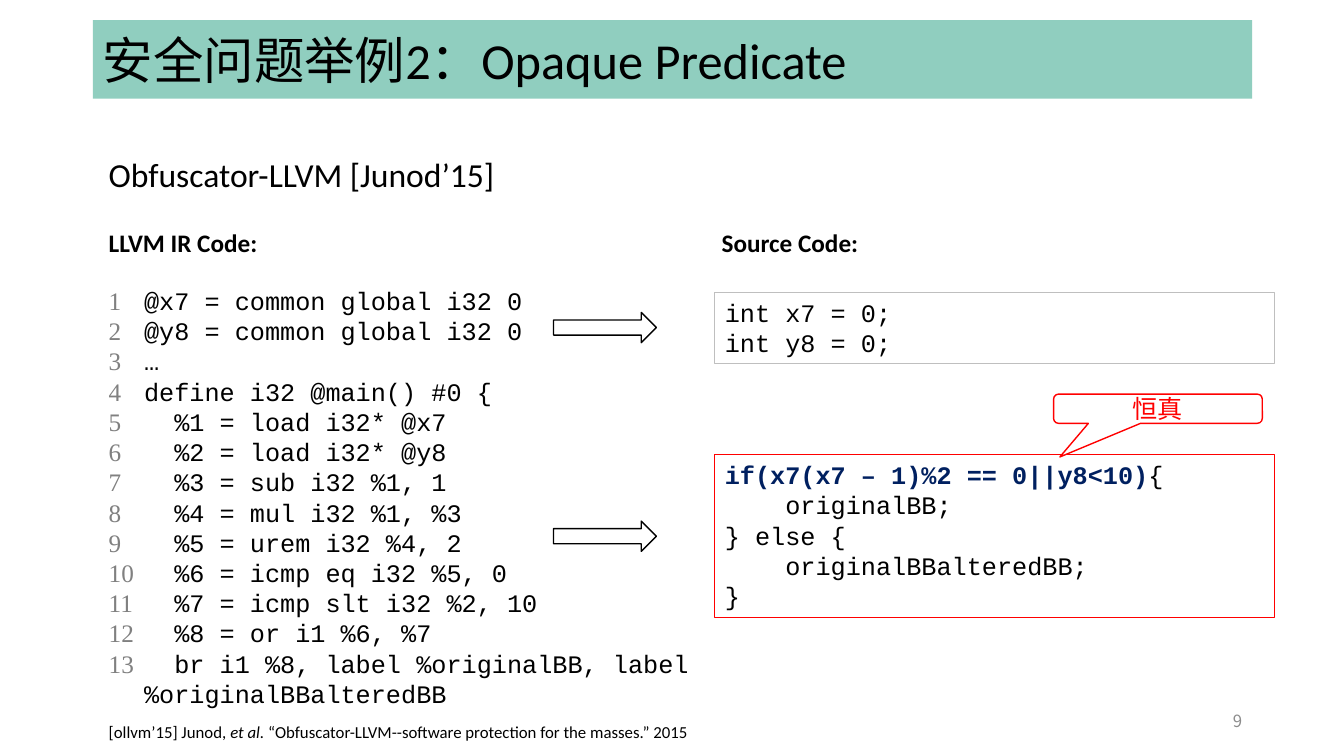
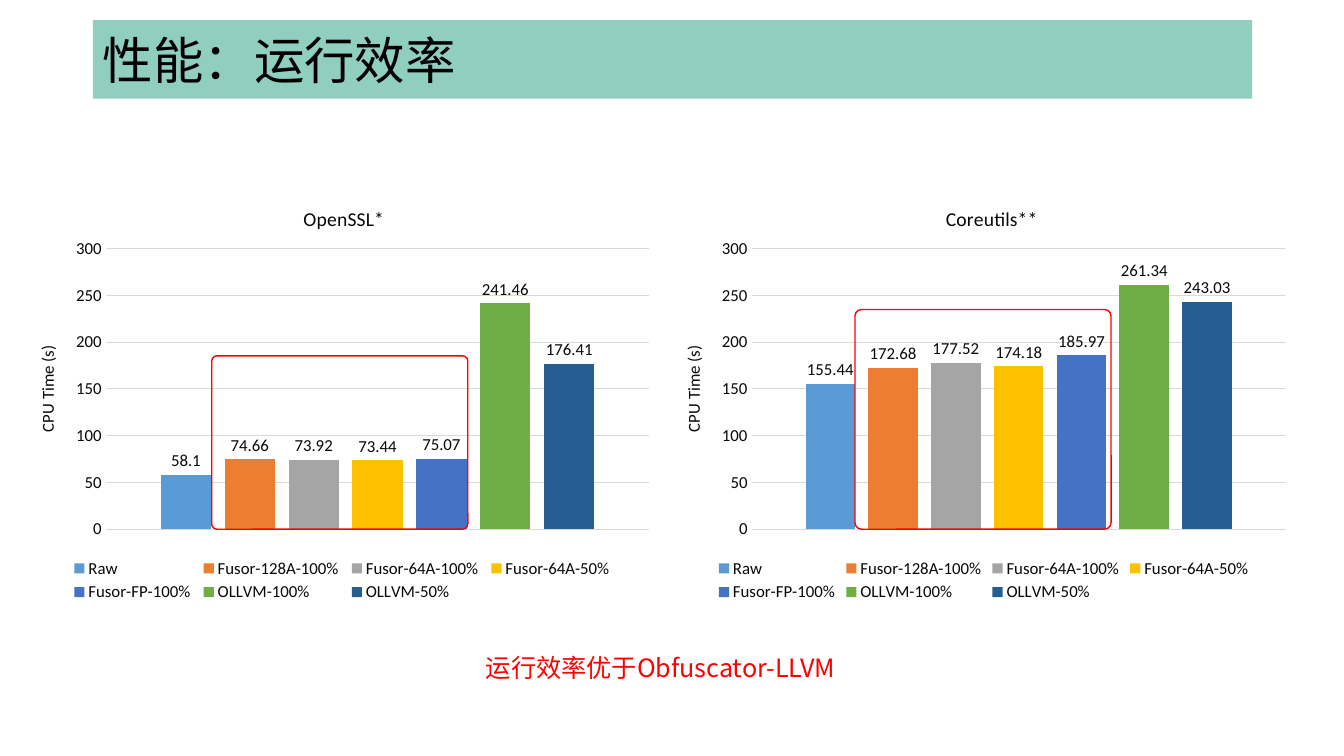
import dataclasses

import lxml.etree
import pptx
import pptx.chart.data
import pptx.dml.color
import pptx.enum.chart
import pptx.enum.shapes
import pptx.enum.text
import pptx.oxml.ns
import pptx.util

Inches = pptx.util.Inches
Pt = pptx.util.Pt
SHAPE = pptx.enum.shapes.MSO_SHAPE
ANCHOR = pptx.enum.text.MSO_ANCHOR
ALIGN = pptx.enum.text.PP_ALIGN
qn = pptx.oxml.ns.qn


@dataclasses.dataclass(frozen=True)
class Theme:
    band: str = "90CEBF"
    white: str = "FFFFFF"
    black: str = "000000"
    red: str = "FF0000"
    navy: str = "002060"
    grey: str = "808080"
    page_grey: str = "8C8C8C"
    box_grey: str = "BFBFBF"
    grid: str = "D9D9D9"
    chart_text: str = "07080B"
    bars: tuple = ("5B9BD5", "ED7D31", "A5A5A5", "FFC000", "4472C4", "70AD47", "255E91")
    sans: str = "Calibri"
    mono: str = "Courier New"
    serif: str = "Times New Roman"
    cjk: str = "Noto Sans CJK SC"
    page_font: str = "Noto Sans CJK KR"
    title_size: int = 36
    lead_size: int = 24
    text_size: int = 18
    chart_title_size: int = 14
    small_size: int = 12
    code_pitch: float = 21.6


THEME = Theme()


def font_style(name, size, color=THEME.black, **extra):
    return {"name": name, "size": Pt(size), "color": color, "bold": False, "italic": False, **extra}


TITLE = font_style(THEME.sans, THEME.title_size)
LEAD = font_style(THEME.sans, THEME.lead_size)
HEADING = font_style(THEME.sans, THEME.text_size, bold=True)
CODE = font_style(THEME.mono, THEME.text_size)
LINE_NUMBER = font_style(THEME.serif, THEME.text_size, THEME.grey)
CITATION = font_style(THEME.sans, THEME.small_size)
PAGE = font_style(THEME.page_font, THEME.small_size, THEME.page_grey)
RED_NOTE = font_style(THEME.cjk, THEME.text_size, THEME.red)
CHART_TITLE = font_style(THEME.sans, THEME.chart_title_size, THEME.chart_text)
CHART_TEXT = font_style(THEME.sans, THEME.small_size, THEME.chart_text)

IR_CODE = """@x7 = common global i32 0
@y8 = common global i32 0
…
define i32 @main() #0 {
  %1 = load i32* @x7
  %2 = load i32* @y8
  %3 = sub i32 %1, 1
  %4 = mul i32 %1, %3
  %5 = urem i32 %4, 2
  %6 = icmp eq i32 %5, 0
  %7 = icmp slt i32 %2, 10
  %8 = or i1 %6, %7
  br i1 %8, label %originalBB, label %originalBBalteredBB""".split("\n")

GUARD_CODE = [
    [("if(x7(x7 – 1)%2 == 0||y8<10)", {"bold": True, "color": THEME.navy}), ("{", {})],
    "    originalBB;",
    "} else {",
    "    originalBBalteredBB;",
    "}",
]

VARIANTS = ("Raw", "Fusor-128A-100%", "Fusor-64A-100%", "Fusor-64A-50%",
            "Fusor-FP-100%", "OLLVM-100%", "OLLVM-50%")

# Chart part: (position among its siblings, fractions of the chart area)
CHART_LAYOUT = {
    "c:chart/c:title": (1, {"x": 0.44, "y": 0.05}),
    "c:chart/c:plotArea": (0, {"x": 0.14, "y": 0.16, "w": 0.84, "h": 0.66}),
    "c:chart/c:legend": (1, {"x": 0.08, "y": 0.88, "w": 0.85, "h": 0.12}),
}


def rgb(color):
    return pptx.dml.color.RGBColor.from_string(color)


def inches(box):
    return [Inches(value) for value in box]


def set_all(target, values):
    for name, value in values.items():
        setattr(target, name, value)


def format_font(font, style):
    set_all(font, {name: value for name, value in style.items() if name != "color"})
    font.color.rgb = rgb(style["color"])


def write(shape, paragraphs, style, align=ALIGN.LEFT, anchor=ANCHOR.TOP, wrap=True, pitch=None):
    """Fill a shape; a paragraph is a string or a list of (text, style changes)."""
    frame = shape.text_frame
    set_all(frame, {"word_wrap": wrap, "vertical_anchor": anchor,
                    "auto_size": pptx.enum.text.MSO_AUTO_SIZE.NONE})
    for index, content in enumerate(paragraphs):
        paragraph = frame.add_paragraph() if index else frame.paragraphs[0]
        set_all(paragraph, {"alignment": align, "space_before": Pt(0)})
        if pitch:
            paragraph.line_spacing = Pt(pitch)
        for text, changes in [(content, {})] if isinstance(content, str) else content:
            run = paragraph.add_run()
            run.text = text
            format_font(run.font, {**style, **changes})


def set_east_asian_font(shape):
    for properties in shape.element.iter(qn("a:rPr")):
        lxml.etree.SubElement(properties, qn("a:ea")).set("typeface", THEME.cjk)


def add_text(slide, box, paragraphs, style, **options):
    label = slide.shapes.add_textbox(*inches(box))
    write(label, paragraphs, style, **options)
    return label


def add_outline(slide, kind, box, line, width=1.0, fill=None):
    outline = slide.shapes.add_shape(kind, *inches(box))
    outline.shadow.inherit = False
    if fill:
        outline.fill.solid()
        outline.fill.fore_color.rgb = rgb(fill)
    else:
        outline.fill.background()
    outline.line.color.rgb = rgb(line)
    outline.line.width = Pt(width)
    return outline


def add_titled_slide(deck, heading):
    slide = deck.slides.add_slide(deck.slide_layouts[5])
    title = slide.shapes.title
    set_all(title, dict(zip(("left", "top", "width", "height"), inches((0.92, 0.2, 11.5, 0.78)))))
    title.fill.solid()
    title.fill.fore_color.rgb = rgb(THEME.band)
    write(title, [heading], TITLE, anchor=ANCHOR.MIDDLE)
    set_east_asian_font(title)
    return slide


def add_numbered_code(slide, box, lines):
    left, top, width, height = box
    gutter = 0.35
    numbers = [str(number) for number in range(1, len(lines) + 1)]
    add_text(slide, (left, top, 0.51, height), numbers, LINE_NUMBER, pitch=THEME.code_pitch)
    add_text(slide, (left + gutter, top, width - gutter, height), lines, CODE,
             pitch=THEME.code_pitch)


def add_code_box(slide, box, lines, line):
    code_box = add_outline(slide, SHAPE.RECTANGLE, box, line, 0.75)
    write(code_box, lines, CODE, pitch=THEME.code_pitch)


def add_callout(slide, box, text):
    callout = add_outline(slide, SHAPE.ROUNDED_RECTANGULAR_CALLOUT, box, THEME.red,
                          fill=THEME.white)
    for index, value in enumerate((-0.47, 1.65, 0.17)):
        callout.adjustments[index] = value
    set_all(callout.text_frame, {"margin_top": 0, "margin_bottom": 0})
    write(callout, [text], RED_NOTE, align=ALIGN.CENTER, anchor=ANCHOR.MIDDLE)
    set_east_asian_font(callout)


def build_predicate_slide(deck):
    slide = add_titled_slide(deck, "安全问题举例2：Opaque Predicate")
    left, right = 0.98, 7.09
    add_text(slide, (left, 1.48, 4.4, 0.5), ["Obfuscator-LLVM [Junod’15]"], LEAD, wrap=False)
    for column, heading in ((left, "LLVM IR Code:"), (7.06, "Source Code:")):
        add_text(slide, (column, 2.21, 2.44, 0.4), [heading], HEADING)
    add_numbered_code(slide, (left, 2.78, 9.03, 4.04), IR_CODE)
    for top in (3.1, 5.17):
        add_outline(slide, SHAPE.RIGHT_ARROW, (5.49, top, 1.02, 0.3), THEME.black,
                    fill=THEME.white)
    add_code_box(slide, (right, 2.9, 5.55, 0.71), ["int x7 = 0;", "int y8 = 0;"], THEME.box_grey)
    add_code_box(slide, (right, 4.51, 5.55, 1.62), GUARD_CODE, THEME.red)
    add_callout(slide, (10.45, 3.91, 2.07, 0.29), "恒真")
    citation = [("[ollvm’15] Junod, ", {}), ("et al. ", {"italic": True}),
                ("“Obfuscator-LLVM--software protection for the masses.” 2015", {})]
    add_text(slide, (left, 7.11, 7.13, 0.3), [citation], CITATION)
    add_text(slide, (9.42, 6.95, 3, 0.4), ["9"], PAGE, align=ALIGN.RIGHT, anchor=ANCHOR.MIDDLE)


def place_chart_parts(chart):
    for query, (position, fractions) in CHART_LAYOUT.items():
        part = chart.element.xpath(query)[0]
        for automatic in part.findall(qn("c:layout")):
            part.remove(automatic)
        layout = lxml.etree.Element(qn("c:layout"))
        manual = lxml.etree.SubElement(layout, qn("c:manualLayout"))
        settings = {"xMode": "edge", "yMode": "edge", **fractions}
        if query.endswith("plotArea"):
            settings = {"layoutTarget": "inner", **settings}
        for name, value in settings.items():
            lxml.etree.SubElement(manual, qn("c:" + name)).set("val", str(value))
        part.insert(position, layout)


def format_value_axis(axis):
    set_all(axis, {"minimum_scale": 0, "maximum_scale": 300, "major_unit": 50,
                   "major_tick_mark": pptx.enum.chart.XL_TICK_MARK.NONE,
                   "has_major_gridlines": True})
    axis.major_gridlines.format.line.color.rgb = rgb(THEME.grid)
    axis.major_gridlines.format.line.width = Pt(0.75)
    axis.format.line.fill.background()
    format_font(axis.tick_labels.font, CHART_TEXT)
    axis.axis_title.text_frame.text = "CPU Time (s)"
    format_font(axis.axis_title.text_frame.paragraphs[0].runs[0].font, CHART_TEXT)
    for body in axis.axis_title.element.iter(qn("a:bodyPr")):
        body.set("rot", "-5400000")
        body.set("vert", "horz")


def add_time_chart(slide, box, heading, times):
    timings = pptx.chart.data.CategoryChartData()
    timings.categories = ["1"]
    for variant, seconds in zip(VARIANTS, times):
        timings.add_series(variant, [seconds])
    chart = slide.shapes.add_chart(pptx.enum.chart.XL_CHART_TYPE.COLUMN_CLUSTERED,
                                   *inches(box), timings).chart
    format_font(chart.font, CHART_TEXT)
    chart.chart_title.text_frame.text = heading
    format_font(chart.chart_title.text_frame.paragraphs[0].runs[0].font, CHART_TITLE)
    chart.has_legend = True
    set_all(chart.legend, {"position": pptx.enum.chart.XL_LEGEND_POSITION.BOTTOM,
                           "include_in_layout": False})
    format_font(chart.legend.font, CHART_TEXT)
    chart.category_axis.visible = False
    format_value_axis(chart.value_axis)
    bars = chart.plots[0]
    set_all(bars, {"gap_width": 219, "overlap": -27, "vary_by_categories": False,
                   "has_data_labels": True})
    set_all(bars.data_labels, {"show_value": True,
                               "position": pptx.enum.chart.XL_LABEL_POSITION.OUTSIDE_END})
    format_font(bars.data_labels.font, CHART_TEXT)
    for series, color in zip(bars.series, THEME.bars):
        series.format.fill.solid()
        series.format.fill.fore_color.rgb = rgb(color)
    place_chart_parts(chart)


def add_highlight(slide, chart_box, offset, height):
    """Frame the Fusor bars, ending at the chart's zero line."""
    left, top = chart_box[:2]
    frame = add_outline(slide, SHAPE.ROUNDED_RECTANGLE,
                        (left + offset, top + 3.46 - height, 2.54, height), THEME.red)
    frame.adjustments[0] = 0.03


def build_performance_slide(deck):
    slide = add_titled_slide(deck, "性能：运行效率")
    panels = (
        ((0.15, 1.79, 6.42, 4.22), "OpenSSL*",
         (58.1, 74.66, 73.92, 73.44, 75.07, 241.46, 176.41), 1.95, 1.72),
        ((6.57, 1.79, 6.31, 4.22), "Coreutils**",
         (155.44, 172.68, 177.52, 174.18, 185.97, 261.34, 243.03), 1.91, 2.18),
    )
    for box, heading, times, offset, height in panels:
        add_time_chart(slide, box, heading, times)
        add_highlight(slide, box, offset, height)
    conclusion = add_text(slide, (4.72, 6.42, 3.81, 0.4), ["运行效率优于Obfuscator-LLVM"],
                          RED_NOTE, wrap=False)
    set_east_asian_font(conclusion)


def main():
    deck = pptx.Presentation()
    set_all(deck, {"slide_width": Inches(13.33), "slide_height": Inches(7.5)})
    build_predicate_slide(deck)
    build_performance_slide(deck)
    deck.save("out.pptx")


if __name__ == "__main__":
    main()
